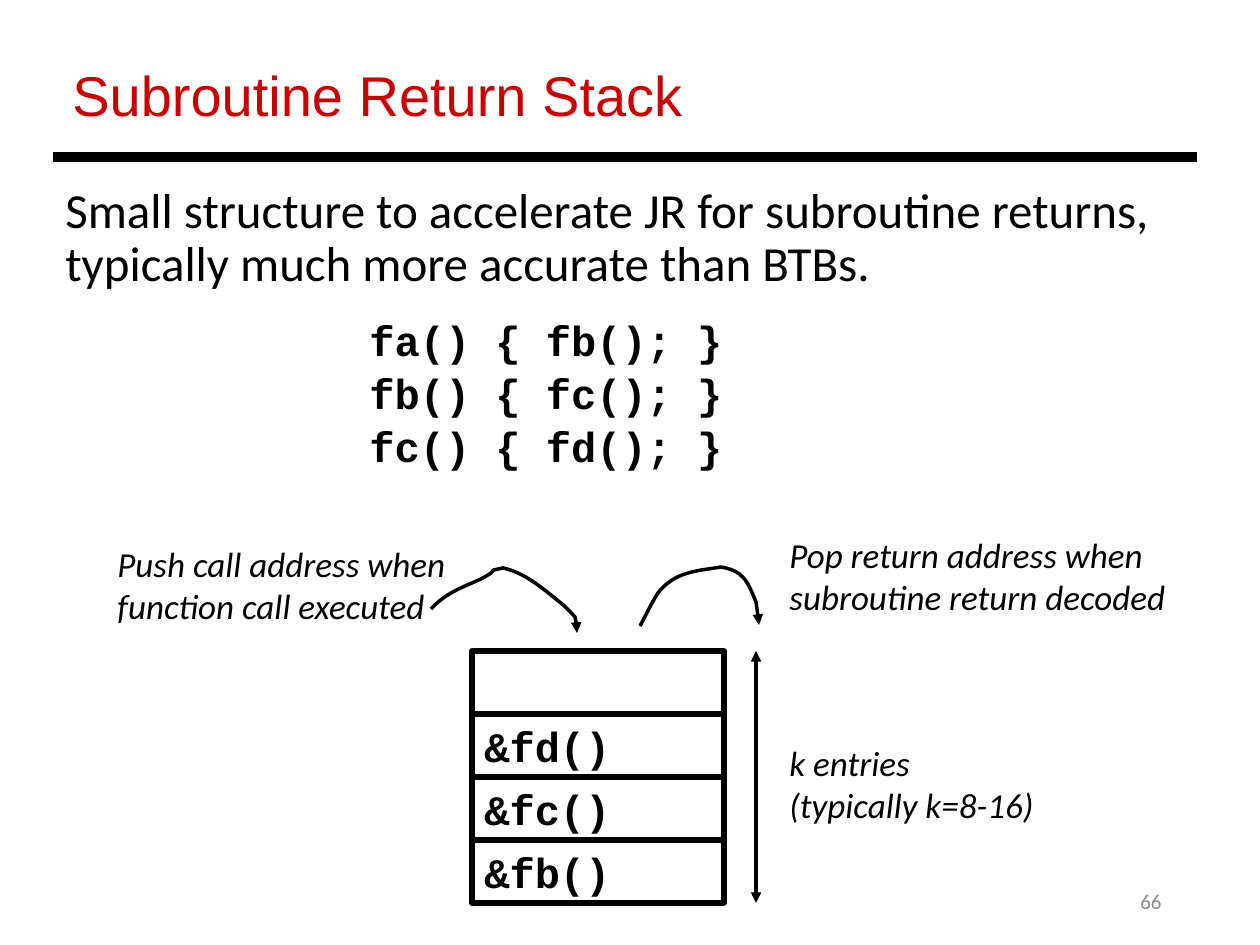
from lxml.etree import SubElement
from pptx import Presentation
from pptx.dml.color import RGBColor
from pptx.enum.shapes import MSO_CONNECTOR as CONNECTOR, MSO_SHAPE as SHAPE
from pptx.enum.text import MSO_ANCHOR as ANCHOR, PP_ALIGN as ALIGN
from pptx.oxml.ns import qn
from pptx.util import Emu, Pt

EMU_PER_PX = 914400 / 126
COLORS = {"title": "CC0000", "ink": "000000", "number": "8C8C8C", "cell": "FFFFFF"}

TITLE = {"name": "Arial", "size": Pt(32)}
BODY = {"name": "Calibri", "size": Pt(28)}
CODE = {"name": "Courier New", "size": Pt(24), "bold": True}
NOTE = {"name": "Calibri", "size": Pt(20), "italic": True}
NUMBER = {"name": "Calibri", "size": Pt(12)}

# Stack geometry and its entries from top to bottom
STACK_LEFT, STACK_TOP, STACK_WIDTH, ENTRY_HEIGHT = 472, 651, 252, 63
ENTRIES = ["", "&fd()", "&fc()", "&fb()"]

# Bezier curves: a start point, then three points for each segment
PUSH_CURVE = [(431, 609),
              (446, 593), (461, 588), (479, 580),
              (505, 567), (481, 573), (503, 568),
              (525, 573), (541, 587), (562, 604),
              (566, 607), (575, 617), (575, 617),
              (577, 627), (577, 622), (577, 633)]
POP_CURVE = [(640, 626),
             (646, 615), (651, 604), (658, 593),
             (675, 571), (698, 571), (721, 567),
             (743, 571), (747, 580), (756, 602),
             (759, 624), (759, 616), (759, 625)]


def px(*lengths):
    return [Emu(round(length * EMU_PER_PX)) for length in lengths]


def rgb(name):
    return RGBColor.from_string(COLORS[name])


def write(frame, lines, font, color="ink", anchor=ANCHOR.TOP, **paragraph_format):
    frame.word_wrap = True
    frame.vertical_anchor = anchor
    for index, line in enumerate(lines):
        paragraph = frame.paragraphs[0] if index == 0 else frame.add_paragraph()
        paragraph.alignment = ALIGN.LEFT
        for key, value in paragraph_format.items():
            setattr(paragraph, key, value)
        run = paragraph.add_run()
        run.text = line
        for key, value in font.items():
            setattr(run.font, key, value)
        run.font.color.rgb = rgb(color)


def add_text(slide, box, lines, font, **options):
    label = slide.shapes.add_textbox(*px(*box))
    write(label.text_frame, lines, font, **options)


def draw_outline(shape, weight, arrows=()):
    shape.line.color.rgb = rgb("ink")
    shape.line.width = Pt(weight)
    outline = shape.line._get_or_add_ln()
    for end in arrows:
        SubElement(outline, qn(f"a:{end}"), type="triangle")


def add_line(slide, ends, weight, arrows=()):
    line = slide.shapes.add_connector(CONNECTOR.STRAIGHT, *px(*ends))
    draw_outline(line, weight, arrows)
    SubElement(line._element.spPr, qn("a:effectLst"))
    return line


def add_box(slide, box, weight, fill=None):
    rect = slide.shapes.add_shape(SHAPE.RECTANGLE, *px(*box))
    rect.shadow.inherit = False
    if fill:
        rect.fill.solid()
        rect.fill.fore_color.rgb = rgb(fill)
    else:
        rect.fill.background()
    draw_outline(rect, weight)
    return rect


def add_curved_arrow(slide, points):
    builder = slide.shapes.build_freeform(*points[0], scale=EMU_PER_PX)
    builder.add_line_segments(points[1:], close=False)
    arrow = builder.convert_to_shape()
    arrow.shadow.inherit = False
    arrow.fill.background()
    draw_outline(arrow, 2, ["tailEnd"])
    # Turn each run of three line points into one cubic segment
    path = arrow._element.find(".//" + qn("a:path"))
    segments = path.findall(qn("a:lnTo"))
    for first in range(0, len(segments), 3):
        cubic = SubElement(path, qn("a:cubicBezTo"))
        for segment in segments[first:first + 3]:
            cubic.append(segment[0])
            path.remove(segment)


def add_stack(slide):
    right = STACK_LEFT + STACK_WIDTH
    height = ENTRY_HEIGHT * len(ENTRIES)
    tops = [STACK_TOP + ENTRY_HEIGHT * row for row in range(len(ENTRIES))]
    for top, entry in zip(tops, ENTRIES):
        if entry:
            cell = add_box(slide, (STACK_LEFT, top, STACK_WIDTH, ENTRY_HEIGHT), 2, "cell")
            write(cell.text_frame, [entry], CODE, anchor=ANCHOR.MIDDLE)
    frame = add_box(slide, (STACK_LEFT, STACK_TOP, STACK_WIDTH, height), 3)
    for top in tops[1:]:
        divider = add_line(slide, (STACK_LEFT, top, right, top), 3)
        if top == STACK_TOP + height // 2:
            divider.begin_connect(frame, 1)
            divider.end_connect(frame, 3)
    # Depth of the stack
    add_line(slide, (756, STACK_TOP, 756, STACK_TOP + height), 2, ["headEnd", "tailEnd"])
    add_text(slide, (777, 735, 281, 97), ["k entries", "(typically k=8-16)"], NOTE)


def main():
    deck = Presentation()
    deck.slide_width, deck.slide_height = px(1260, 945)
    slide = deck.slides.add_slide(deck.slide_layouts[6])

    # Heading and explanation
    add_text(slide, (60, 54, 1106, 81), ["Subroutine Return Stack"], TITLE, color="title")
    add_line(slide, (53, 157, 1197, 157), 6)
    add_text(slide, (53, 180, 1159, 131),
             ["Small structure to accelerate JR for subroutine returns, "
              "typically much more accurate than BTBs."], BODY, line_spacing=0.9)

    # Nested calls
    add_text(slide, (357, 305, 420, 217),
             ["fa() { fb(); }", "fb() { fc(); }", "fc() { fd(); }"], CODE,
             line_spacing=1.06)

    # Stack with its push and pop actions
    add_stack(slide)
    add_curved_arrow(slide, PUSH_CURVE)
    add_text(slide, (105, 536, 410, 97),
             ["Push call address when function call executed"], NOTE)
    add_curved_arrow(slide, POP_CURVE)
    add_text(slide, (777, 527, 420, 97),
             ["Pop return address when subroutine return decoded"], NOTE)

    # Slide number
    add_text(slide, (890, 876, 284, 50), ["66"], NUMBER, color="number",
             anchor=ANCHOR.MIDDLE, alignment=ALIGN.RIGHT)

    deck.save("out.pptx")


if __name__ == "__main__":
    main()
